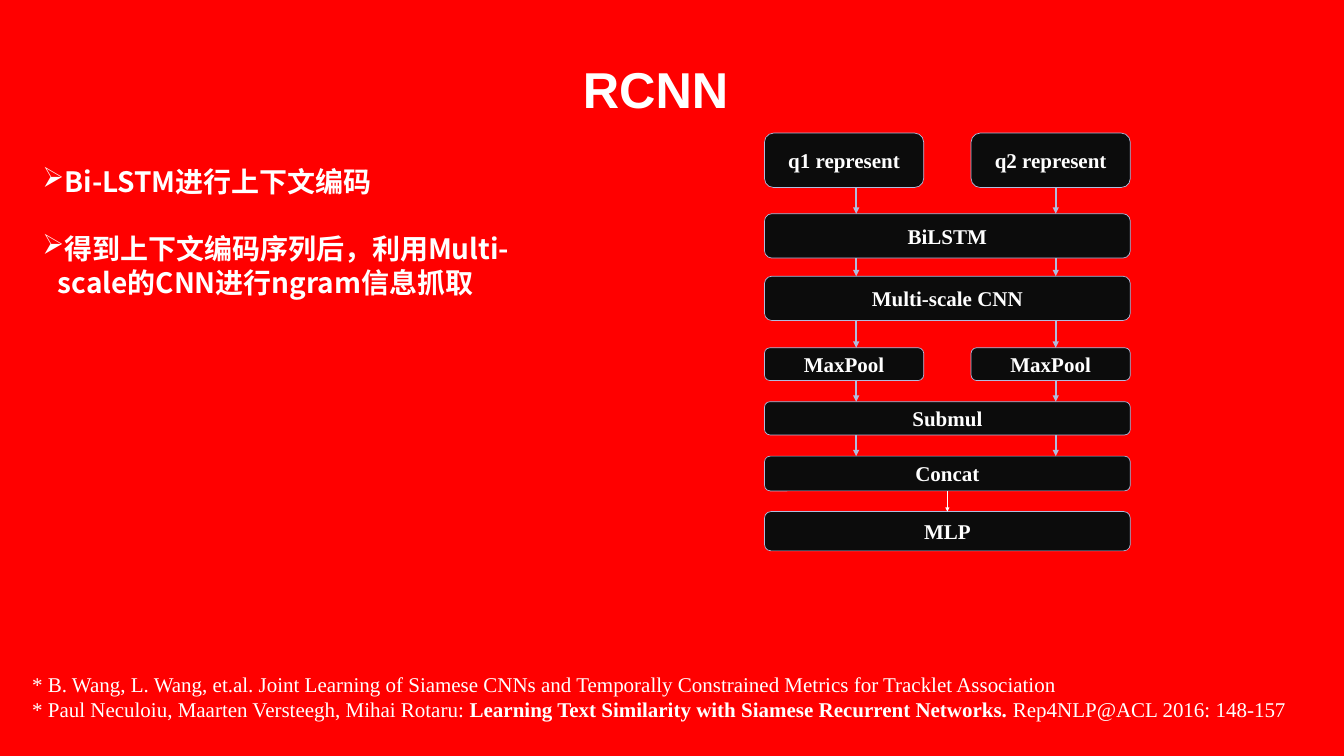
from dataclasses import dataclass
from itertools import pairwise

from lxml import etree
from pptx import Presentation
from pptx.dml.color import RGBColor
from pptx.enum.shapes import MSO_CONNECTOR, MSO_SHAPE
from pptx.enum.text import MSO_ANCHOR, PP_ALIGN
from pptx.oxml.ns import qn
from pptx.util import Inches, Pt

STRAIGHT = MSO_CONNECTOR.STRAIGHT
ROUNDED = MSO_SHAPE.ROUNDED_RECTANGLE
MIDDLE = MSO_ANCHOR.MIDDLE
TOP = MSO_ANCHOR.TOP
CENTER = PP_ALIGN.CENTER
LEFT = PP_ALIGN.LEFT

RED = RGBColor(0xFF, 0x00, 0x00)
WHITE = RGBColor(0xFF, 0xFF, 0xFF)
BLACK = RGBColor(0x0C, 0x0C, 0x0C)
PALE_BLUE = RGBColor(0xB0, 0xBC, 0xDE)

SERIF = "Times New Roman"
CHINESE = "Noto Sans CJK SC"

DIAGRAM_LEFT = 15.17
DIAGRAM_WIDTH = 7.26
HALF_WIDTH = 3.16
ARROW_COLUMNS = (16.99, 20.95)
BULLET_INDENT = 0.31


@dataclass(frozen=True)
class Layer:
    top: float
    height: float
    labels: tuple[str, ...]

    @property
    def bottom(self) -> float:
        return self.top + self.height


LAYERS = (
    Layer(2.64, 1.08, ("q1 represent", "q2 represent")),
    Layer(4.24, 0.88, ("BiLSTM",)),
    Layer(5.48, 0.88, ("Multi-scale CNN",)),
    Layer(6.9, 0.65, ("MaxPool", "MaxPool")),
    Layer(7.97, 0.66, ("Submul",)),
    Layer(9.05, 0.69, ("Concat",)),
    Layer(10.15, 0.78, ("MLP",)),
)

BULLETS = (
    "Bi-LSTM进行上下文编码",
    "得到上下文编码序列后，利用Multi-scale的CNN进行ngram信息抓取",
)

REFERENCES = (
    (
        ("* B. Wang, L. Wang, et.al. Joint Learning of Siamese CNNs and "
         "Temporally Constrained Metrics for Tracklet Association", False),
    ),
    (
        ("* Paul Neculoiu, Maarten Versteegh, Mihai Rotaru:", False),
        (" Learning Text Similarity with Siamese Recurrent Networks.", True),
        (" Rep4NLP@ACL 2016: 148-157", False),
    ),
)


def add_text(paragraph, text: str, *, size: float, font: str = SERIF,
             bold: bool = True, align=LEFT) -> None:
    paragraph.alignment = align
    run = paragraph.add_run()
    run.text = text
    run.font.size = Pt(size)
    run.font.name = font
    run.font.bold = bold
    run.font.color.rgb = WHITE
    east_asian = etree.SubElement(run.font._element, qn("a:ea"))
    east_asian.set("typeface", font)


def add_text_frame(slide, left: float, top: float, width: float, height: float):
    box = slide.shapes.add_textbox(
        Inches(left), Inches(top), Inches(width), Inches(height))
    box.text_frame.word_wrap = True
    box.text_frame.vertical_anchor = TOP
    return box.text_frame


def next_paragraph(frame, index: int):
    return frame.add_paragraph() if index else frame.paragraphs[0]


def set_bullet(paragraph, symbol: str) -> None:
    properties = paragraph._p.get_or_add_pPr()
    properties.set("marL", str(Inches(BULLET_INDENT)))
    properties.set("indent", str(-Inches(BULLET_INDENT)))
    etree.SubElement(properties, qn("a:buChar")).set("char", symbol)


def add_layer(slide, layer: Layer) -> list:
    width = DIAGRAM_WIDTH if len(layer.labels) == 1 else HALF_WIDTH
    blocks = []
    for index, label in enumerate(layer.labels):
        left = DIAGRAM_LEFT + index * (DIAGRAM_WIDTH - HALF_WIDTH)
        block = slide.shapes.add_shape(
            ROUNDED, Inches(left), Inches(layer.top), Inches(width), Inches(layer.height))
        block.shadow.inherit = False
        block.fill.solid()
        block.fill.fore_color.rgb = BLACK
        block.line.color.rgb = PALE_BLUE
        block.line.width = Pt(1)
        block.text_frame.word_wrap = True
        block.text_frame.vertical_anchor = MIDDLE
        add_text(block.text_frame.paragraphs[0], label, size=30, align=CENTER)
        blocks.append(block)
    return blocks


def add_arrow(slide, x: float, start: float, end: float, color: RGBColor, width: float):
    arrow = slide.shapes.add_connector(
        STRAIGHT, Inches(x), Inches(start), Inches(x), Inches(end))
    arrow.line.color.rgb = color
    arrow.line.width = Pt(width)
    etree.SubElement(arrow.line._get_or_add_ln(), qn("a:tailEnd")).set("type", "triangle")
    etree.SubElement(arrow._element.spPr, qn("a:effectLst"))
    return arrow


def add_title(slide) -> None:
    title = slide.shapes.title
    title.left, title.top = Inches(7.98), Inches(1.12)
    title.width, title.height = Inches(10.06), Inches(1.26)
    frame = title.text_frame
    frame.margin_left = frame.margin_right = Inches(0.03)
    frame.margin_top = frame.margin_bottom = Inches(0.03)
    frame.vertical_anchor = MIDDLE
    add_text(frame.paragraphs[0], "RCNN", size=72, font="Arial", align=CENTER)


def add_bullets(slide) -> None:
    frame = add_text_frame(slide, 0.74, 3.2, 10.78, 6.82)
    for index, text in enumerate(BULLETS):
        paragraph = next_paragraph(frame, index)
        paragraph.line_spacing = Pt(48.6)
        paragraph.space_before = Pt(47 if index else 0)
        set_bullet(paragraph, "➢")
        add_text(paragraph, text, size=40, font=CHINESE)


def add_references(slide) -> None:
    frame = add_text_frame(slide, 0.54, 13.28, 25.65, 1.11)
    for index, parts in enumerate(REFERENCES):
        paragraph = next_paragraph(frame, index)
        for text, bold in parts:
            add_text(paragraph, text, size=30, bold=bold)


def add_network(slide) -> None:
    blocks = [add_layer(slide, layer) for layer in LAYERS]
    for upper, lower in pairwise(LAYERS[:-1]):
        for x in ARROW_COLUMNS:
            add_arrow(slide, x, upper.bottom, lower.top, PALE_BLUE, 3)
    concat, output = LAYERS[-2:]
    arrow = add_arrow(slide, DIAGRAM_LEFT + DIAGRAM_WIDTH / 2,
                      concat.bottom, output.top, WHITE, 0.75)
    arrow.begin_connect(blocks[-2][0], 2)
    arrow.end_connect(blocks[-1][0], 0)


def main() -> None:
    presentation = Presentation()
    presentation.slide_width = Inches(26.67)
    presentation.slide_height = Inches(15)
    slide = presentation.slides.add_slide(presentation.slide_layouts[5])
    slide.background.fill.solid()
    slide.background.fill.fore_color.rgb = RED
    add_title(slide)
    add_bullets(slide)
    add_references(slide)
    add_network(slide)
    presentation.save("out.pptx")


if __name__ == "__main__":
    main()
